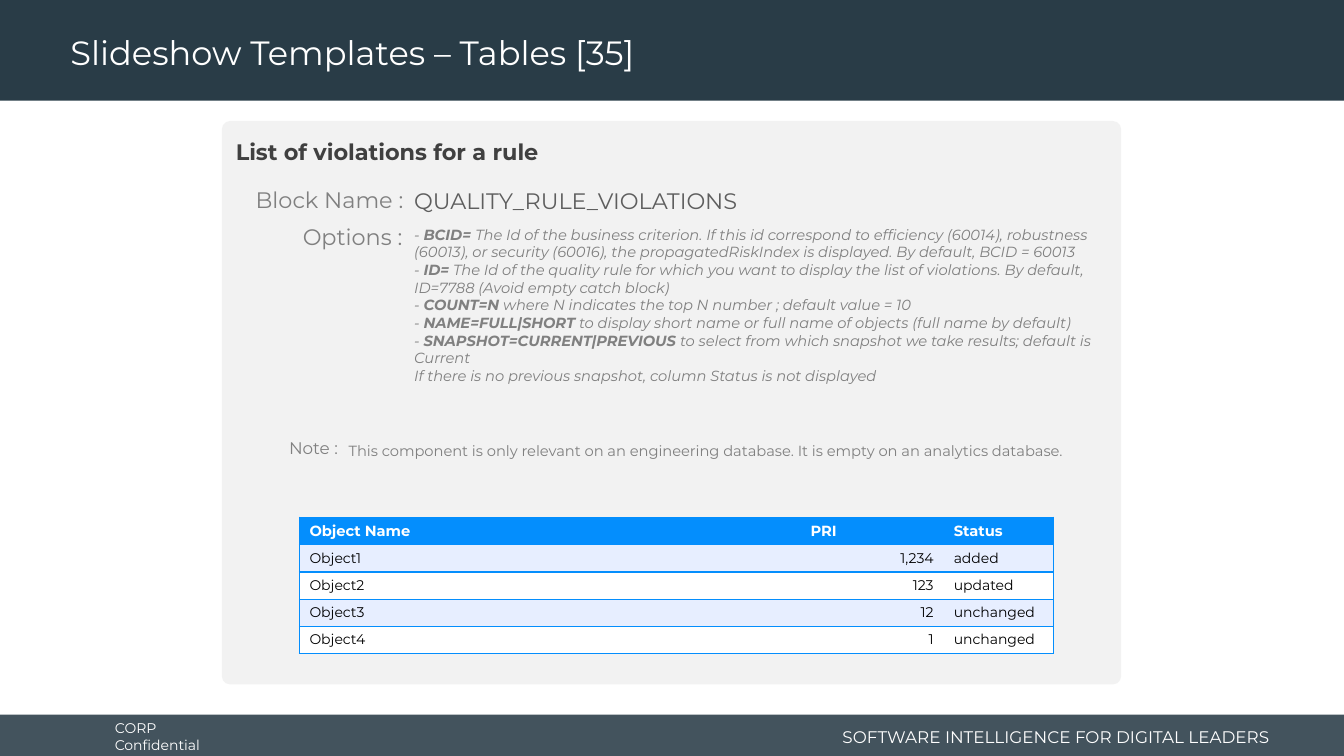
from dataclasses import dataclass

from lxml import etree
from pptx import Presentation
from pptx.dml.color import RGBColor
from pptx.enum.shapes import MSO_SHAPE as Shape
from pptx.enum.text import MSO_ANCHOR as Anchor, PP_ALIGN as Align
from pptx.oxml import parse_xml
from pptx.oxml.ns import nsdecls, qn
from pptx.util import Inches, Pt


@dataclass(frozen=True)
class Theme:
    font: str = "Montserrat"
    navy: str = "293C47"
    white: str = "FFFFFF"
    panel: str = "F2F2F2"
    heading: str = "404040"
    block_name: str = "5E5E5E"
    grey: str = "808080"
    black: str = "000000"
    blue: str = "048EFD"
    band: str = "E7EEFF"
    title_size: float = 24
    heading_size: float = 16
    note_size: float = 12
    body_size: float = 10.5
    small_size: float = 10


theme = Theme()


def add_panel(kind, left, top, width, height, color):
    shape = slide.shapes.add_shape(
        kind, Inches(left), Inches(top), Inches(width), Inches(height))
    shape.shadow.inherit = False
    shape.fill.solid()
    shape.fill.fore_color.rgb = RGBColor.from_string(color)
    shape.line.fill.background()
    return shape


def write(frame, paragraphs, size, color, align=Align.LEFT):
    """Fill a text frame; a paragraph is a list of (text, bold, italic) runs, None breaks the line."""
    for index, runs in enumerate(paragraphs):
        paragraph = frame.add_paragraph() if index else frame.paragraphs[0]
        paragraph.alignment = align
        for item in runs:
            if item is None:
                paragraph.add_line_break()
                continue
            run = paragraph.add_run()
            run.text, run.font.bold, run.font.italic = item
            run.font.name = theme.font
            run.font.size = Pt(size)
            run.font.color.rgb = RGBColor.from_string(color)


presentation = Presentation()
presentation.slide_width = Inches(13.33)
presentation.slide_height = Inches(7.5)
slide = presentation.slides.add_slide(presentation.slide_layouts[6])

# Footer and header bands, content panel
footer = add_panel(Shape.RECTANGLE, 0, 7.09, 13.33, 0.41, theme.navy)
footer_color = footer.fill._xPr.find(qn("a:solidFill"))[0]
etree.SubElement(footer_color, qn("a:alpha"), val="88000")
add_panel(Shape.RECTANGLE, 0, 0, 13.33, 1, theme.navy)
panel = add_panel(Shape.ROUNDED_RECTANGLE, 2.2, 1.2, 8.92, 5.59, theme.panel)
panel.adjustments[0] = 0.015

# Single-line texts: text, box, size, colour, alignment, anchor, wrap, bold
labels = [
    ("Slideshow Templates – Tables [35]", (0.6, 0.04, 9.58, 0.96),
     theme.title_size, theme.white, Align.LEFT, Anchor.MIDDLE, True, False),
    ("CORP Confidential", (1.04, 7.11, 1.48, 0.4),
     theme.small_size, theme.white, Align.LEFT, Anchor.MIDDLE, False, False),
    ("SOFTWARE INTELLIGENCE FOR DIGITAL LEADERS", (8.11, 7.15, 4.58, 0.32),
     theme.note_size, theme.white, Align.RIGHT, Anchor.MIDDLE, True, False),
    ("List of violations for a rule", (2.24, 1.32, 8.71, 0.37),
     theme.heading_size, theme.heading, Align.LEFT, Anchor.TOP, True, True),
    ("Block Name :", (2.43, 1.8, 1.67, 0.37),
     theme.heading_size, theme.grey, Align.RIGHT, Anchor.TOP, False, False),
    ("QUALITY_RULE_VIOLATIONS", (4.01, 1.81, 7.25, 0.37),
     theme.heading_size, theme.block_name, Align.LEFT, Anchor.TOP, True, False),
    ("Options :", (2.88, 2.16, 1.21, 0.37),
     theme.heading_size, theme.grey, Align.RIGHT, Anchor.TOP, False, False),
    ("Note :", (2.75, 4.29, 0.7, 0.3),
     theme.note_size, theme.grey, Align.RIGHT, Anchor.TOP, False, False),
    ("This component is only relevant on an engineering database. "
     "It is empty on an analytics database.", (3.36, 4.33, 7.65, 0.29),
     theme.body_size, theme.grey, Align.LEFT, Anchor.TOP, True, False),
]
for text, box, size, color, align, anchor, wrap, bold in labels:
    frame = slide.shapes.add_textbox(*map(Inches, box)).text_frame
    frame.word_wrap = wrap
    frame.vertical_anchor = anchor
    write(frame, [[(text, bold, False)]], size, color, align)

# Options: each entry is a bold keyword and its description
options = [
    [("BCID= ", "The Id of the business criterion. If this id correspond to efficiency (60014), "
      "robustness (60013), or security (60016), the propagatedRiskIndex is displayed. "
      "By default, BCID = 60013"),
     ("ID=", " The Id of the quality rule for which you want to display the list of violations. "
      "By default, ID=7788 (Avoid empty catch block)"),
     ("COUNT=N", " where N indicates the top N number ; default value = 10")],
    [("NAME=FULL|SHORT", " to display short name or full name of objects (full name by default)")],
    [("SNAPSHOT=CURRENT|PREVIOUS",
      " to select from which snapshot we take results; default is Current")],
]
option_paragraphs = []
for entries in options:
    runs = []
    for keyword, description in entries:
        if runs:
            runs.append(None)
        runs += [("- ", False, True), (keyword, True, True), (description, False, True)]
    option_paragraphs.append(runs)
option_paragraphs.append(
    [("If there is no previous snapshot, column Status is not displayed", False, True)])
options_box = slide.shapes.add_textbox(Inches(4.01), Inches(2.19), Inches(7.14), Inches(1.83))
options_box.text_frame.word_wrap = True
write(options_box.text_frame, option_paragraphs, theme.body_size, theme.grey)

# Violations table
rows = [
    ("Object Name", "PRI", "Status"),
    ("Object1", "1,234", "added"),
    ("Object2", "123", "updated"),
    ("Object3", "12", "unchanged"),
    ("Object4", "1", "unchanged"),
]
column_widths = [4.97, 1.42, 1.09]
row_height = 0.27
table = slide.shapes.add_table(
    len(rows), len(column_widths), Inches(2.97), Inches(5.13),
    Inches(sum(column_widths)), Inches(row_height * len(rows))).table
for column, width in zip(table.columns, column_widths):
    column.width = Inches(width)
for row_index, values in enumerate(rows):
    table.rows[row_index].height = Inches(row_height)
    header = row_index == 0
    fill = theme.blue if header else theme.band if row_index % 2 else theme.white
    for column_index, value in enumerate(values):
        cell = table.cell(row_index, column_index)
        cell.fill.solid()
        cell.fill.fore_color.rgb = RGBColor.from_string(fill)
        cell.vertical_anchor = Anchor.TOP if header else Anchor.MIDDLE
        write(cell.text_frame, [[(value, header, False)]],
              theme.body_size if header else theme.small_size,
              theme.white if header else theme.black,
              Align.RIGHT if column_index == 1 and not header else Align.LEFT)
        # Rules between rows and around the table, none between columns
        ruled = {"L": column_index == 0, "R": column_index == 2, "T": True, "B": True}
        for position, (side, visible) in enumerate(ruled.items()):
            paint = (f'<a:solidFill><a:srgbClr val="{theme.blue}"/></a:solidFill>'
                     if visible else "<a:noFill/>")
            border = parse_xml(f'<a:ln{side} {nsdecls("a")} w="{Pt(1)}">{paint}</a:ln{side}>')
            cell._tc.get_or_add_tcPr().insert(position, border)

presentation.save("out.pptx")
